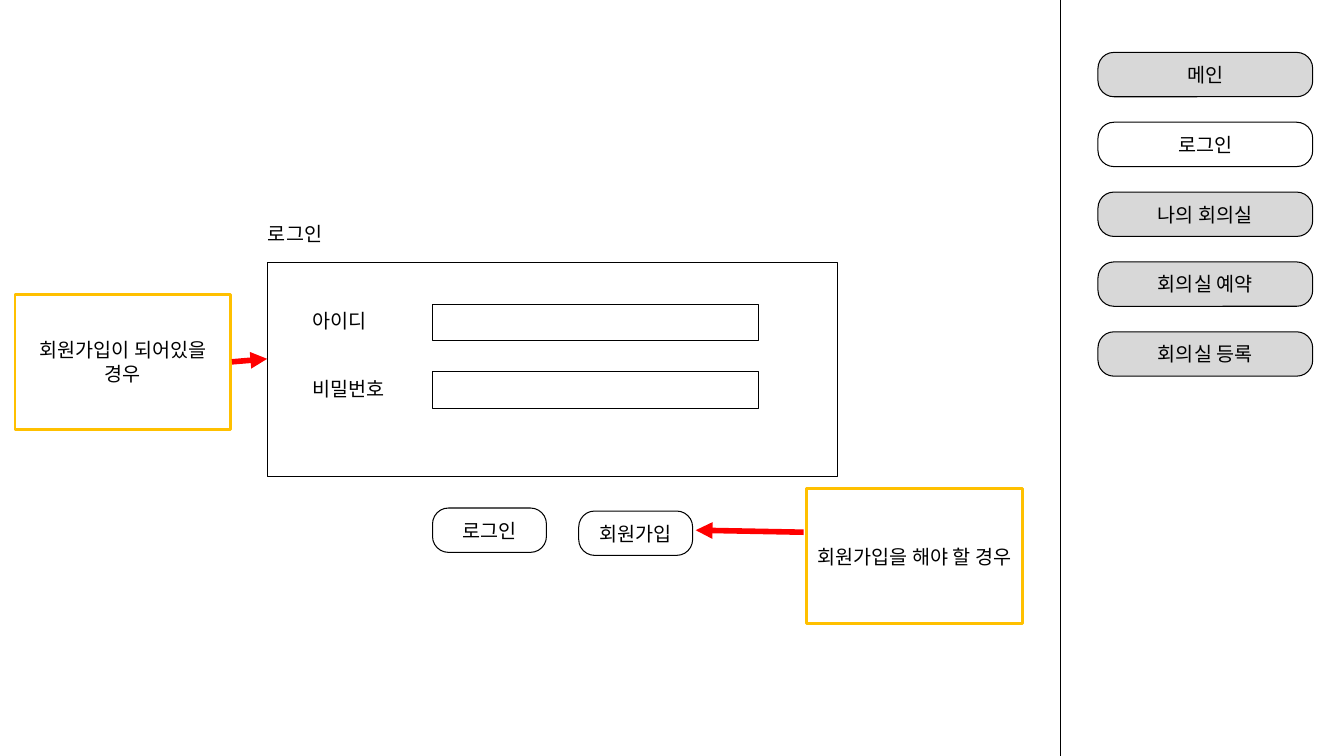
from pptx import Presentation
from pptx.dml.color import RGBColor
from pptx.enum.shapes import MSO_CONNECTOR as Connector, MSO_SHAPE as Shape
from pptx.enum.text import MSO_ANCHOR as Anchor, PP_ALIGN as Align
from pptx.oxml.ns import qn
from pptx.util import Inches, Pt
from lxml.etree import SubElement

BLACK = RGBColor(0x00, 0x00, 0x00)
WHITE = RGBColor(0xFF, 0xFF, 0xFF)
GRAY = RGBColor(0xD8, 0xD8, 0xD8)
AMBER = RGBColor(0xFF, 0xC0, 0x00)
RED = RGBColor(0xFF, 0x00, 0x00)
FONT = "Noto Sans CJK KR"

deck = Presentation()
deck.slide_width, deck.slide_height = Inches(13.33), Inches(7.5)
page = deck.slides.add_slide(deck.slide_layouts[6])


def add_box(text, left, top, width, height, kind=Shape.RECTANGLE,
            fill=None, line=BLACK, weight=0.75):
    """Add a shape with centred text, or a plain label when kind is None."""
    area = [Inches(length) for length in (left, top, width, height)]
    if kind is None:
        box = page.shapes.add_textbox(*area)
    else:
        box = page.shapes.add_shape(kind, *area)
        box.shadow.inherit = False
        box.line.color.rgb = line
        box.line.width = Pt(weight)
        if fill is None:
            box.fill.background()
        else:
            box.fill.solid()
            box.fill.fore_color.rgb = fill
        if kind == Shape.ROUNDED_RECTANGLE:
            box.adjustments[0] = 0.36
    if text:
        frame = box.text_frame
        frame.word_wrap = kind is not None
        frame.vertical_anchor = Anchor.TOP if kind is None else Anchor.MIDDLE
        para = frame.paragraphs[0]
        para.alignment = Align.LEFT if kind is None else Align.CENTER
        span = para.add_run()
        span.text = text
        span.font.size = Pt(14)
        span.font.name = FONT
        span.font.color.rgb = BLACK
        # Korean text takes the East Asian typeface
        SubElement(span.font._element, qn("a:ea"), typeface=FONT)


def add_line(start, end, color=BLACK, weight=0.75, arrow=False):
    line = page.shapes.add_connector(
        Connector.STRAIGHT, *[Inches(length) for length in start + end])
    line.line.color.rgb = color
    line.line.width = Pt(weight)
    if arrow:
        SubElement(line.line._get_or_add_ln(), qn("a:tailEnd"), type="triangle")
    SubElement(line._element.spPr, qn("a:effectLst"))


# Side menu, with the current page in white
add_line((10.52, 0), (10.52, 7.5))
menu = ["메인", "로그인", "나의 회의실", "회의실 예약", "회의실 등록"]
for row, name in enumerate(menu):
    add_box(name, 10.89, 0.52 + row * 0.693, 2.13, 0.44,
            kind=Shape.ROUNDED_RECTANGLE,
            fill=WHITE if name == "로그인" else GRAY)

# Login form
add_box("로그인", 2.56, 2.15, 0.84, 0.34, kind=None)
add_box("", 2.65, 2.6, 5.66, 2.13)
for top, name, width in [(3.02, "아이디", 0.79), (3.69, "비밀번호", 0.99)]:
    add_box(name, 3, top, width, 0.34, kind=None)
    add_box("", 4.29, top, 3.23, 0.36, fill=WHITE)

# Form buttons
for left, top, name in [(4.29, 5.04, "로그인"), (5.74, 5.07, "회원가입")]:
    add_box(name, left, top, 1.13, 0.44,
            kind=Shape.ROUNDED_RECTANGLE, fill=WHITE)

# Notes and their arrows
notes = [
    (0.15, 2.92, "회원가입이 되어있을 경우", (2.3, 3.59), (2.65, 3.56)),
    (8, 4.85, "회원가입을 해야 할 경우", (7.97, 5.28), (6.9, 5.26)),
]
for left, top, text, start, end in notes:
    add_box(text, left, top, 2.14, 1.34, fill=WHITE, line=AMBER, weight=2)
    add_line(start, end, color=RED, weight=4, arrow=True)

deck.save("out.pptx")
